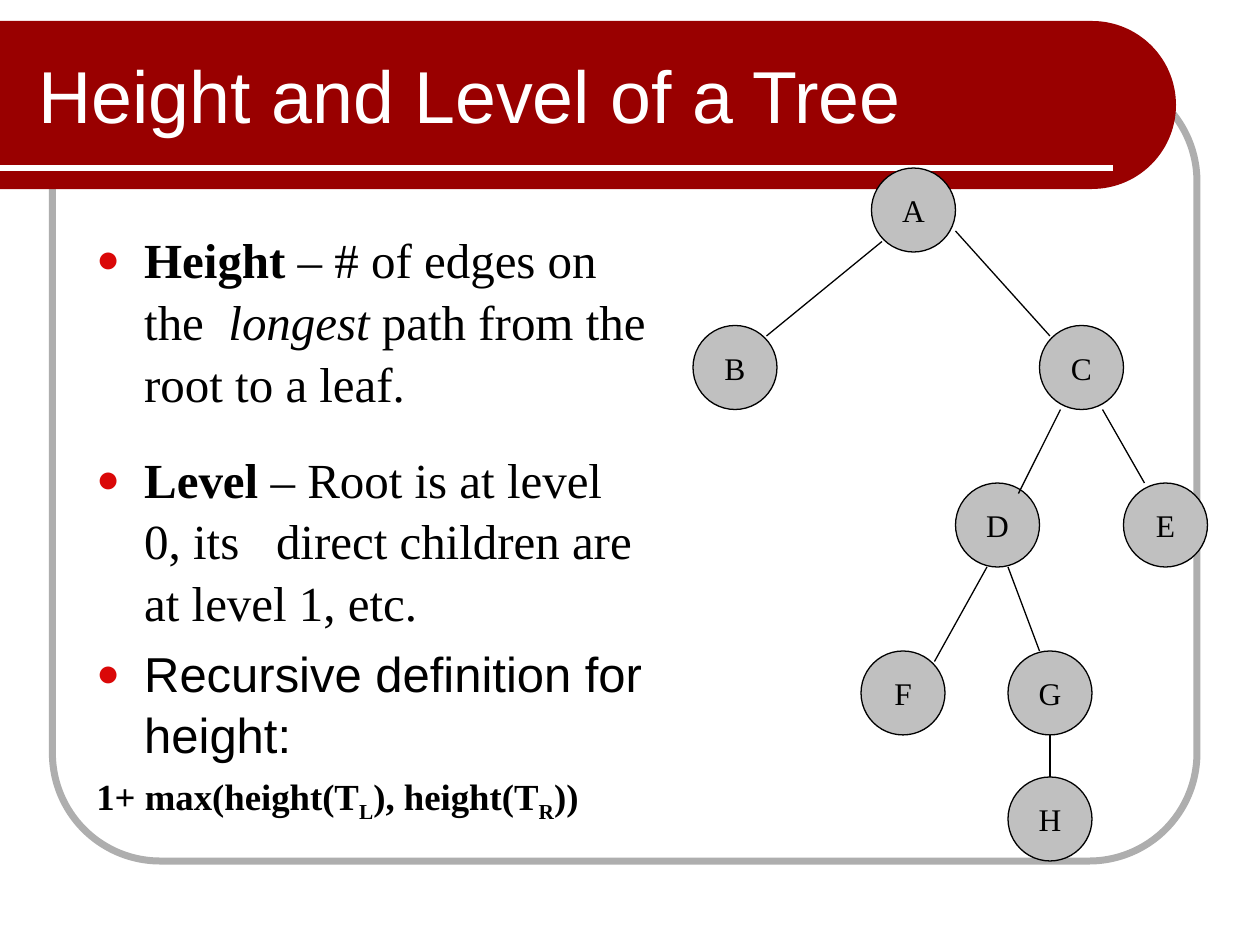
from math import cos, pi, sin

from lxml.etree import SubElement
from pptx import Presentation
from pptx.dml.color import RGBColor
from pptx.enum.shapes import MSO_CONNECTOR as Connector, MSO_SHAPE as Shape
from pptx.enum.text import MSO_ANCHOR as Anchor, PP_ALIGN as Align
from pptx.oxml.ns import qn
from pptx.util import Inches, Pt

WHITE = RGBColor(0xFF, 0xFF, 0xFF)
BLACK = RGBColor(0, 0, 0)
RED = RGBColor(0x99, 0, 0)
FRAME_GRAY = RGBColor(0xAE, 0xAE, 0xAE)
NODE_GRAY = RGBColor(0xC0, 0xC0, 0xC0)
BULLET_RED = "DA0808"
SERIF, SANS = "Times New Roman", "Arial"

CELL = Inches(1) // 12
COLUMNS, ROWS = 120, 90
NODE_SIZE = 8

NODES = {
    "A": (17, 0), "B": (0, 15), "C": (33, 15), "D": (25, 30),
    "E": (41, 30), "F": (16, 46), "G": (30, 46), "H": (30, 58),
}
EDGES = [
    ((18, 7), (7, 16)), ((25, 6), (34, 16)), ((35, 23), (31, 31)),
    ((39, 23), (43, 30)), ((28, 38), (23, 47)), ((30, 38), (33, 46)),
    ((34, 54), (34, 58)),
]
DEFINITIONS = [
    (4, SERIF, [("Height", "bold"), (" – # of edges on the  ", ""),
                ("longest", "italic"), (" path from the root to a leaf.", "")]),
    (19.5, SERIF, [("Level", "bold"),
                   (" – Root is at level 0, its   direct children are at level 1, etc.", "")]),
    (5, SANS, [("Recursive definition for height:", "")]),
]
FORMULA = [("1+ max(height(T", False), ("L", True), ("), height(T", False),
           ("R", True), ("))", False)]


def cells(*lengths):
    return [round(length * CELL) for length in lengths]


def style_run(run, font, size, color):
    run.font.name, run.font.size = font, Pt(size)
    run.font.color.rgb = color


def add_line(slide, start, end, color, width):
    line = slide.shapes.add_connector(Connector.STRAIGHT, *cells(*start, *end))
    line.line.color.rgb, line.line.width = color, Pt(width)
    SubElement(line._element.spPr, qn("a:effectLst"))


def add_text_area(slide, box):
    frame = slide.shapes.add_textbox(*cells(*box)).text_frame
    frame.word_wrap = True
    return frame


def add_frame(slide, box):
    frame = slide.shapes.add_shape(Shape.ROUNDED_RECTANGLE, *cells(*box))
    frame.adjustments[0] = 0.137
    frame.shadow.inherit = False
    frame.fill.background()
    frame.line.color.rgb, frame.line.width = FRAME_GRAY, Pt(4)


def add_header(slide, box, title):
    left, top, width, height = box
    radius = height / 2
    center_x, center_y = left + width - radius, top + radius
    angles = [pi * step / 60 - pi / 2 for step in range(61)]
    arc = [cells(center_x + radius * cos(a), center_y + radius * sin(a)) for a in angles]
    outline = slide.shapes.build_freeform(*cells(left, top))
    outline.add_line_segments(arc + [cells(left, top + height)], close=True)
    band = outline.convert_to_shape()
    band.shadow.inherit = False
    band.fill.solid()
    band.fill.fore_color.rgb = RED
    band.line.fill.background()
    rule_y = top + height - 2
    add_line(slide, (left, rule_y), (left + width - 6, rule_y), WHITE, 3)

    frame = add_text_area(slide, (left + 2.5, top + 1, 93.5, 12))
    frame.vertical_anchor = Anchor.MIDDLE
    frame.text = title
    style_run(frame.paragraphs[0].runs[0], SANS, 42, WHITE)


def add_bullet(paragraph):
    properties = paragraph._p.get_or_add_pPr()
    properties.set("marL", str(Inches(0.38)))
    properties.set("indent", str(-Inches(0.38)))
    color = SubElement(properties, qn("a:buClr"))
    SubElement(color, qn("a:srgbClr"), val=BULLET_RED)
    SubElement(properties, qn("a:buSzPct"), val="80000")
    SubElement(properties, qn("a:buFont"), typeface=SANS)
    SubElement(properties, qn("a:buChar"), char="●")


def add_definitions(slide, box):
    frame = add_text_area(slide, box)
    paragraph = frame.paragraphs[0]
    for space, font, parts in DEFINITIONS:
        paragraph.space_before, paragraph.line_spacing = Pt(space), 1.05
        add_bullet(paragraph)
        for text, emphasis in parts:
            run = paragraph.add_run()
            run.text = text
            style_run(run, font, 28, BLACK)
            run.font.bold = emphasis == "bold"
            run.font.italic = emphasis == "italic"
        paragraph = frame.add_paragraph()
    paragraph.space_before, paragraph.line_spacing = Pt(4.5), 1.05
    for text, subscript in FORMULA:
        run = paragraph.add_run()
        run.text = text
        style_run(run, SERIF, 21, BLACK)
        run.font.bold = True
        if subscript:
            run.font._element.set("baseline", "-25000")


def add_tree(slide, left, top):
    for label, (column, row) in NODES.items():
        node = slide.shapes.add_shape(
            Shape.OVAL, *cells(left + column, top + row, NODE_SIZE, NODE_SIZE))
        node.shadow.inherit = False
        node.fill.solid()
        node.fill.fore_color.rgb = NODE_GRAY
        node.line.color.rgb, node.line.width = BLACK, Pt(0.75)
        frame = node.text_frame
        frame.word_wrap = False
        frame.vertical_anchor = Anchor.MIDDLE
        frame.text = label
        frame.paragraphs[0].alignment = Align.CENTER
        style_run(frame.paragraphs[0].runs[0], SERIF, 18, BLACK)
    for edge in EDGES:
        start, end = [(left + column, top + row) for column, row in edge]
        add_line(slide, start, end, BLACK, 0.75)


deck = Presentation()
deck.slide_width, deck.slide_height = cells(COLUMNS, ROWS)
slide = deck.slides.add_slide(deck.slide_layouts[6])
add_frame(slide, (5, 7, 109, 75))
add_header(slide, (0, 2, 112, 16), "Height and Level of a Tree")
add_tree(slide, 66, 16)
add_definitions(slide, (8, 21, 55, 58))
deck.save("out.pptx")
